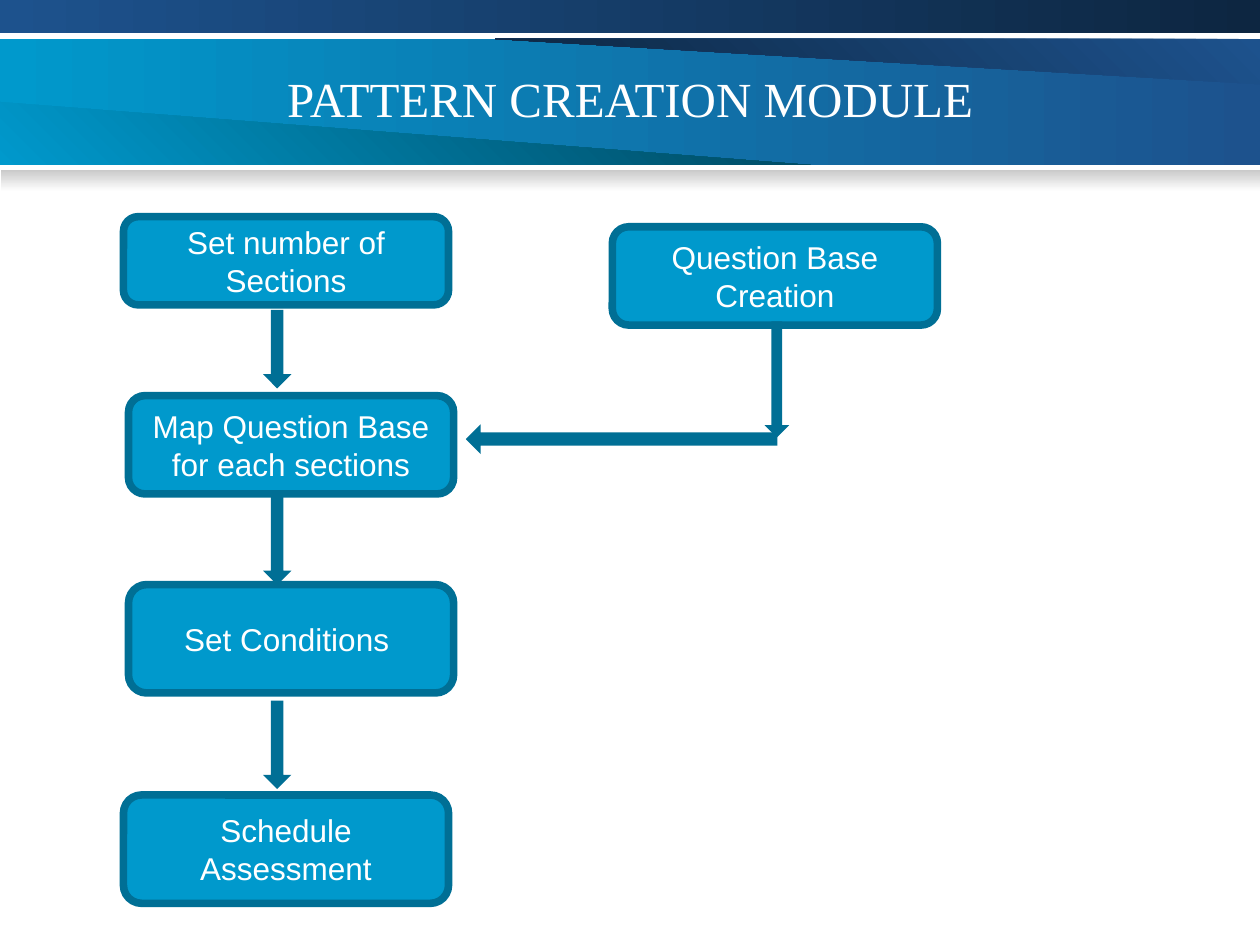
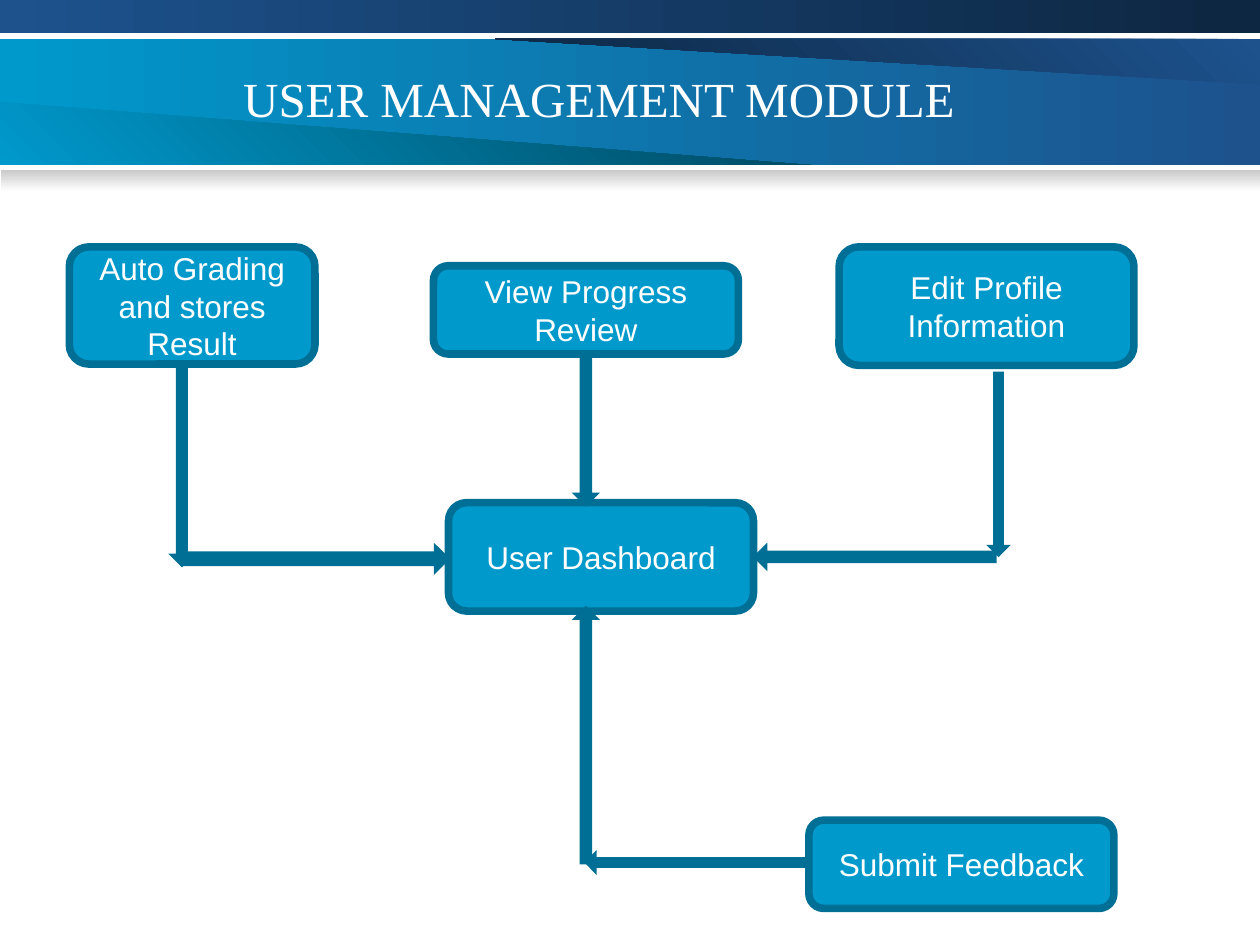
from dataclasses import dataclass

from lxml import etree
from pptx import Presentation
from pptx.dml.color import RGBColor
from pptx.enum.shapes import MSO_SHAPE as Shape
from pptx.enum.text import MSO_ANCHOR as Anchor, MSO_AUTO_SIZE as AutoSize, PP_ALIGN as Align
from pptx.oxml.ns import qn
from pptx.util import Inches, Pt


@dataclass(frozen=True)
class Theme:
    white: str = "FFFFFF"
    cyan: str = "0099CC"
    teal: str = "006F95"
    deep_teal: str = "00475E"
    blue: str = "1D528D"
    navy: str = "0D2641"
    grey: str = "CACACA"
    title_font: str = "Times New Roman"
    body_font: str = "Arial"
    title_size: float = 28
    body_size: float = 18
    outline: float = 4.34
    corner: float = 0.167


THEME = Theme()
WIDTH, HEIGHT = 10, 7.5
TITLE_ONLY = 5
BANNER = (0, 0.31, WIDTH, 1)
STEP_WIDTH, SCREEN_WIDTH = 2.58, 2.42


def color(code):
    return RGBColor.from_string(code)


def add_preset(page, kind, box):
    shape = page.shapes.add_shape(kind, *map(Inches, box))
    shape.shadow.inherit = False
    return shape


def paint_gradient(shape, start, end, angle=0):
    """Blend from start to end, with the angle counter-clockwise from the right."""
    shape.shadow.inherit = False
    shape.line.fill.background()
    shape.fill.gradient()
    shape.fill.gradient_angle = angle
    for stop, code in zip(shape.fill.gradient_stops, (start, end)):
        stop.color.rgb = color(code)


def add_wedge(page, box, points):
    """Draw a polygon whose points are inches from the corner of the box."""
    left, top = box[:2]
    corners = [(Inches(left + x), Inches(top + y)) for x, y in points]
    builder = page.shapes.build_freeform(*corners[0])
    builder.add_line_segments(corners[1:], close=True)
    return builder.convert_to_shape()


def add_banner(page, box):
    left, top, width, height = box
    paint_gradient(add_preset(page, Shape.RECTANGLE, box), THEME.cyan, THEME.blue)
    upper = add_wedge(page, box, [(3.93, 0), (width, 0.36), (width, 0)])
    paint_gradient(upper, THEME.blue, THEME.navy, 225)
    lower = add_wedge(page, box, [(0, 0.5), (6.43, height), (0, height)])
    paint_gradient(lower, THEME.cyan, THEME.deep_teal, 45)
    top_strip = add_preset(page, Shape.RECTANGLE, (left, 0, width, top - 0.05))
    paint_gradient(top_strip, THEME.blue, THEME.navy)
    shade = add_preset(page, Shape.RECTANGLE, (left + 0.01, top + height + 0.04, width - 0.01, 0.17))
    paint_gradient(shade, THEME.grey, THEME.white, 270)


def share_banner(page):
    """Draw the banner and move it to the layout that all pages use."""
    add_banner(page, BANNER)
    tree = page.slide_layout.shapes.element
    for shape in list(page.shapes):
        if not shape.is_placeholder:
            tree.append(shape.element)


def format_text(frame, font, size, align):
    frame.word_wrap = True
    frame.vertical_anchor = Anchor.MIDDLE
    for para in frame.paragraphs:
        para.alignment = align
        for span in para.runs:
            span.font.name = font
            span.font.size = Pt(size)
            span.font.color.rgb = color(THEME.white)


def set_title(page, text, box, align):
    title = page.shapes.title
    title.left, title.top, title.width, title.height = map(Inches, box)
    title.text_frame.text = text
    title.text_frame.auto_size = AutoSize.NONE
    format_text(title.text_frame, THEME.title_font, THEME.title_size, align)


def paint_solid(shape):
    shape.fill.solid()
    shape.fill.fore_color.rgb = color(THEME.cyan)
    shape.line.color.rgb = color(THEME.teal)
    shape.line.width = Pt(THEME.outline)
    outline = shape.element.spPr.find(qn("a:ln"))
    etree.SubElement(outline, qn("a:miter")).set("lim", "800000")


def add_node(page, text, box):
    node = add_preset(page, Shape.ROUNDED_RECTANGLE, box)
    node.adjustments[0] = THEME.corner
    paint_solid(node)
    node.text_frame.text = text
    format_text(node.text_frame, THEME.body_font, THEME.body_size, Align.CENTER)


def draw_flow(page, nodes, arrows):
    for text, *box in nodes:
        add_node(page, text, box)
    for kind, *box in arrows:
        paint_solid(add_preset(page, kind, box))


def build_pattern_creation(page):
    set_title(page, "PATTERN CREATION MODULE", (0, 0.3, WIDTH, 0.95), Align.CENTER)
    nodes = [
        ("Set number of Sections", 0.98, 1.72, STEP_WIDTH, 0.7),
        ("Map Question Base for each sections", 1.02, 3.14, STEP_WIDTH, 0.78),
        ("Set Conditions ", 1.02, 4.64, STEP_WIDTH, 0.86),
        ("Schedule Assessment", 0.98, 6.31, STEP_WIDTH, 0.86),
        ("Question Base Creation", 4.86, 1.8, STEP_WIDTH, 0.78),
    ]
    step_arrows = [(Shape.DOWN_ARROW, 2.16, top, 0.08, height)
                   for top, height in ((2.49, 0.55), (3.97, 0.63), (5.59, 0.63))]
    question_arrows = [
        (Shape.DOWN_ARROW, 6.14, 2.58, 0.05, 0.85),
        (Shape.LEFT_ARROW, 3.74, 3.44, 2.4, 0.09),
    ]
    draw_flow(page, nodes, step_arrows + question_arrows)


def build_user_management(page):
    set_title(page, "USER MANAGEMENT MODULE", (1.83, 0.3, 7.25, 0.95), Align.LEFT)
    nodes = [
        ("Auto Grading and stores Result", 0.55, 1.96, 1.95, 0.93),
        ("View Progress Review", 3.44, 2.11, SCREEN_WIDTH, 0.7),
        ("Edit Profile Information", 6.66, 1.96, 2.34, 0.94),
        ("User Dashboard", 3.56, 3.99, SCREEN_WIDTH, 0.86),
        ("Submit Feedback", 6.42, 6.51, SCREEN_WIDTH, 0.7),
    ]
    arrows = [
        (Shape.DOWN_ARROW, 4.61, 2.81, 0.08, 1.17),
        (Shape.DOWN_ARROW, 1.41, 2.9, 0.07, 1.56),
        (Shape.DOWN_ARROW, 7.9, 2.98, 0.05, 1.4),
        (Shape.LEFT_ARROW, 6.02, 4.38, 1.86, 0.08),
        (Shape.RIGHT_ARROW, 1.46, 4.38, 2.07, 0.11),
        (Shape.UP_ARROW, 4.61, 4.85, 0.08, 1.98),
        (Shape.LEFT_ARROW, 4.68, 6.82, 1.7, 0.05),
    ]
    draw_flow(page, nodes, arrows)


def main():
    deck = Presentation()
    deck.slide_width, deck.slide_height = Inches(WIDTH), Inches(HEIGHT)
    layout = deck.slide_layouts[TITLE_ONLY]
    pages = [deck.slides.add_slide(layout) for _ in range(2)]
    share_banner(pages[0])
    build_pattern_creation(pages[0])
    build_user_management(pages[1])
    deck.save("out.pptx")


if __name__ == "__main__":
    main()
